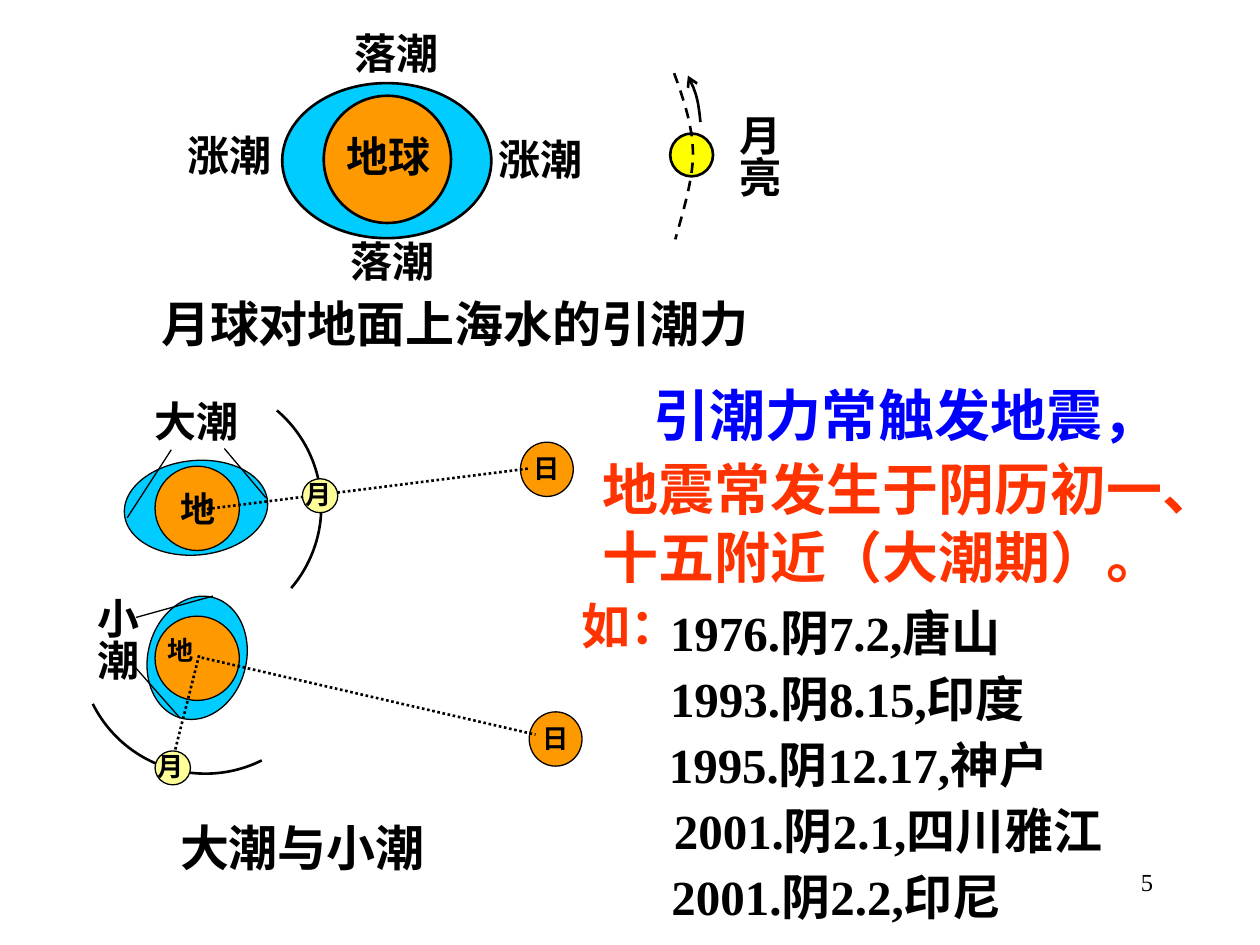
from dataclasses import dataclass

from lxml import etree
from pptx import Presentation
from pptx.dml.color import RGBColor
from pptx.enum.dml import MSO_LINE
from pptx.enum.shapes import MSO_CONNECTOR, MSO_SHAPE
from pptx.enum.text import MSO_ANCHOR, MSO_AUTO_SIZE, PP_ALIGN
from pptx.oxml.ns import qn
from pptx.util import Pt

DASH, DOT = MSO_LINE.DASH, MSO_LINE.ROUND_DOT
OVAL, ARC = MSO_SHAPE.OVAL, MSO_SHAPE.ARC
STRAIGHT = MSO_CONNECTOR.STRAIGHT
TOP, MIDDLE = MSO_ANCHOR.TOP, MSO_ANCHOR.MIDDLE
LEFT, CENTER, RIGHT = PP_ALIGN.LEFT, PP_ALIGN.CENTER, PP_ALIGN.RIGHT
FIXED = MSO_AUTO_SIZE.NONE


@dataclass(frozen=True)
class Theme:
    font: str = "Times New Roman"
    black: RGBColor = RGBColor(0x00, 0x00, 0x00)
    blue: RGBColor = RGBColor(0x00, 0x00, 0xFF)
    red: RGBColor = RGBColor(0xFF, 0x33, 0x00)
    ocean: RGBColor = RGBColor(0x00, 0xCC, 0xFF)
    orange: RGBColor = RGBColor(0xFF, 0x99, 0x00)
    yellow: RGBColor = RGBColor(0xFF, 0xFF, 0x00)
    pale: RGBColor = RGBColor(0xFF, 0xFF, 0x99)
    statement: int = 32
    caption: int = 28
    label: int = 24
    earth: int = 20
    small: int = 15
    number: int = 14
    thick: float = 1.5
    thin: float = 0.75


class SlideBuilder:
    def __init__(self, slide, theme):
        self.slide = slide
        self.theme = theme
        self.shapes = slide.shapes

    def start_group(self):
        self.shapes = self.slide.shapes.add_group_shape().shapes

    def end_group(self):
        self.shapes = self.slide.shapes

    def outline(self, shape, weight, dash=None):
        shape.line.color.rgb = self.theme.black
        shape.line.width = Pt(weight)
        if dash:
            shape.line.dash_style = dash

    def ellipse(self, left, top, width, height, color, weight, rotation=0):
        shape = self.shapes.add_shape(OVAL, Pt(left), Pt(top), Pt(width), Pt(height))
        shape.shadow.inherit = False
        shape.fill.solid()
        shape.fill.fore_color.rgb = color
        shape.rotation = rotation
        self.outline(shape, weight)

    def orbit(self, center_x, center_y, radius, rotation):
        shape = self.shapes.add_shape(
            ARC, Pt(center_x - radius), Pt(center_y - radius), Pt(2 * radius), Pt(2 * radius)
        )
        shape.shadow.inherit = False
        shape.fill.background()
        shape.rotation = rotation
        self.outline(shape, self.theme.thick)

    def curve(self, points, dash=None, arrow=False, steps=12):
        vertices = []
        for first in range(0, len(points) - 1, 3):
            controls = points[first:first + 4]
            for step in range(1, steps + 1):
                t = step / steps
                weights = ((1 - t) ** 3, 3 * t * (1 - t) ** 2, 3 * t * t * (1 - t), t ** 3)
                vertices.append(tuple(
                    Pt(sum(weight * control[axis] for weight, control in zip(weights, controls)))
                    for axis in (0, 1)
                ))
        start_x, start_y = points[0]
        builder = self.shapes.build_freeform(Pt(start_x), Pt(start_y))
        builder.add_line_segments(vertices, close=False)
        shape = builder.convert_to_shape()
        shape.shadow.inherit = False
        shape.fill.background()
        self.outline(shape, self.theme.thick, dash)
        if arrow:
            line = shape.element.spPr.find(qn("a:ln"))
            etree.SubElement(line, qn("a:headEnd"), type="arrow")

    def line(self, start_x, start_y, end_x, end_y, weight, dash=None):
        connector = self.shapes.add_connector(
            STRAIGHT, Pt(start_x), Pt(start_y), Pt(end_x), Pt(end_y)
        )
        self.outline(connector, weight, dash)
        etree.SubElement(connector.element.spPr, qn("a:effectLst"))

    def text(self, words, left, top, width, height, size, color=None, bold=True,
             align=LEFT, anchor=TOP, wrap=True, vertical=False):
        shape = self.shapes.add_textbox(Pt(left), Pt(top), Pt(width), Pt(height))
        self.set_words(shape, words, size, color, bold, align, anchor, wrap)
        if vertical:
            frame = shape.text_frame
            frame.margin_left = frame.margin_right = Pt(3.6)
            frame.margin_top = frame.margin_bottom = Pt(7.2)
            shape.element.txBody.find(qn("a:bodyPr")).set("vert", "eaVert")

    def title(self, words, left, top, width, height, size, color):
        shape = self.slide.shapes.title
        bounds = {"left": left, "top": top, "width": width, "height": height}
        for name, value in bounds.items():
            setattr(shape, name, Pt(value))
        self.set_words(shape, words, size, color, True, LEFT, MIDDLE, True)

    def set_words(self, shape, words, size, color, bold, align, anchor, wrap):
        frame = shape.text_frame
        frame_format = {"word_wrap": wrap, "vertical_anchor": anchor, "auto_size": FIXED}
        for name, value in frame_format.items():
            setattr(frame, name, value)
        paragraph = frame.paragraphs[0]
        paragraph.alignment = align
        run = paragraph.add_run()
        run.text = words
        font_format = {"name": self.theme.font, "size": Pt(size), "bold": bold}
        for name, value in font_format.items():
            setattr(run.font, name, value)
        run.font.color.rgb = color or self.theme.black


def draw_lunar_pull(builder, theme):
    builder.start_group()
    builder.ellipse(161.3, 47.5, 119.5, 88.6, theme.ocean, theme.thick)
    builder.ellipse(185, 54.7, 72.7, 72.7, theme.orange, theme.thick)
    builder.ellipse(383, 76.3, 24.5, 24.5, theme.yellow, theme.thick)
    builder.curve([(385.2, 41.8), (391, 57.6), (396, 72.7), (396, 88.6),
                   (396, 104.4), (388.1, 128.2), (385.9, 136.8)], dash=DASH)
    builder.curve([(393.1, 43.2), (394.6, 46.1), (396, 49), (397.4, 53.3),
                   (398.9, 57.6), (399.6, 63.4), (400.3, 69.8)], arrow=True)
    for words, left, top, width, height in (
        ("地球", 190.8, 71.3, 103.7, 31.7),
        ("涨潮", 277.9, 72.7, 84.2, 32.4),
        ("落潮", 195.8, 12.2, 88.6, 31),
        ("落潮", 193, 131, 86.4, 31),
        ("涨潮", 100.1, 70.6, 84.2, 38.9),
    ):
        builder.text(words, left, top, width, height, theme.label)
    builder.text("月亮", 409.7, 58.3, 41.8, 69.1, theme.label, vertical=True)
    builder.text("月球对地面上海水的引潮力", 85, 164.2, 381, 41.8, theme.caption)
    builder.end_group()


def draw_spring_and_neap(builder, theme):
    builder.start_group()
    builder.orbit(117.4, 370.1, 72, 153.5)
    builder.orbit(111.6, 289.4, 72, 40.4)
    builder.ellipse(85, 249.1, 54, 82.1, theme.ocean, theme.thin, 84.7)
    builder.ellipse(77, 347.8, 71.3, 56.2, theme.ocean, theme.thin, 104.7)
    for top in (266.4, 352.1):
        builder.ellipse(88.6, top, 48.2, 48.2, theme.orange, theme.thin)
    for left, top in ((297.4, 252.7), (302.4, 406.8)):
        builder.ellipse(left, top, 30.2, 31, theme.orange, theme.thin)
        builder.text("日", left + 0.3, top + 2.2, 36, 35.3, theme.small)
    for ends in (
        (112.3, 291.6, 301.7, 267.8),
        (115.2, 375.8, 306, 419.8),
        (113.8, 374.4, 99.4, 431.3),
    ):
        builder.line(*ends, theme.thick, DOT)
    for left, top in ((172.8, 273.6), (88.6, 429.1)):
        builder.ellipse(left, top, 20.2, 19.4, theme.pale, theme.thin)
        builder.text("月", left - 5.4, top - 4, 34.6, 37.4, theme.small)
    builder.text("地", 95.8, 275, 32.4, 41.8, theme.earth)
    builder.text("地", 88.6, 358.6, 32.4, 41.8, theme.small)
    builder.text("大潮", 81.4, 222.5, 90, 36, theme.label)
    builder.text("小潮", 38.2, 334.1, 46.8, 79.9, theme.label, vertical=True)
    for ends in (
        (128.2, 256.3, 151.9, 284.4),
        (97.9, 257, 72.7, 295.9),
        (77.8, 352.8, 121.7, 340.6),
        (75.6, 379.4, 103, 410.4),
    ):
        builder.line(*ends, theme.thin)
    builder.text("大潮与小潮", 95.8, 463.7, 203.8, 52.6, theme.caption)
    builder.end_group()


def list_earthquakes(builder, theme):
    builder.title("引潮力常触发地震，", 366.5, 213.8, 334.8, 46.1, theme.statement, theme.blue)
    builder.text("地震常发生于阴历初一、十五附近（大潮期）。", 337, 256.3, 383, 84.2,
                 theme.statement, theme.red, anchor=MIDDLE)
    builder.text("如：", 325.4, 337, 69.8, 41, theme.caption, theme.red,
                 align=CENTER, wrap=False)
    earthquakes = (
        ("1976.阴7.2,唐山", 375.8),
        ("1993.阴8.15,印度", 375.8),
        ("1995.阴12.17,神户", 375.1),
        ("2001.阴2.1,四川雅江", 378),
        ("2001.阴2.2,印尼", 376.6),
    )
    for index, (words, left) in enumerate(earthquakes):
        builder.text(words, left, 340.6 + 37.7 * index, 292, 41,
                     theme.caption, anchor=MIDDLE)


def main():
    presentation = Presentation()
    presentation.slide_width, presentation.slide_height = Pt(720), Pt(540)
    theme = Theme()
    slide = presentation.slides.add_slide(presentation.slide_layouts[5])
    builder = SlideBuilder(slide, theme)
    builder.text("5", 516.2, 491.8, 149.8, 36, theme.number, bold=False, align=RIGHT)
    draw_lunar_pull(builder, theme)
    draw_spring_and_neap(builder, theme)
    list_earthquakes(builder, theme)
    presentation.save("out.pptx")


if __name__ == "__main__":
    main()
